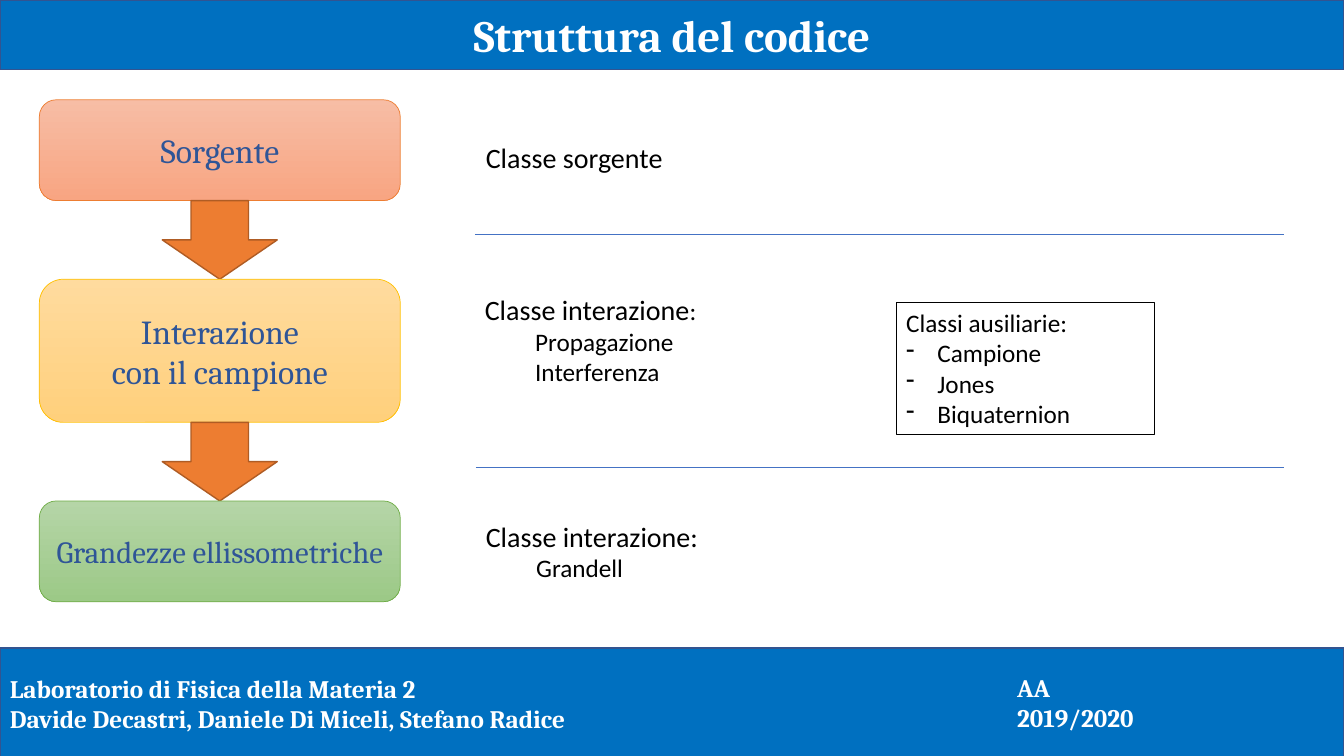
from lxml.etree import SubElement
from pptx import Presentation
from pptx.dml.color import RGBColor
from pptx.enum.shapes import MSO_CONNECTOR, MSO_SHAPE
from pptx.enum.text import MSO_ANCHOR, PP_ALIGN
from pptx.oxml.ns import qn
from pptx.util import Inches, Pt

WHITE = RGBColor(0xFF, 0xFF, 0xFF)
BLACK = RGBColor(0x00, 0x00, 0x00)
BANNER_BLUE = RGBColor(0x00, 0x70, 0xC0)
BANNER_EDGE = RGBColor(0x32, 0x54, 0x91)
STEP_TEXT = RGBColor(0x2F, 0x55, 0x97)
DIVIDER_BLUE = RGBColor(0x44, 0x72, 0xC4)
ARROW_ORANGE = RGBColor(0xED, 0x7D, 0x31)
ARROW_EDGE = RGBColor(0xAF, 0x5C, 0x24)
SALMON_TOP = RGBColor(0xF7, 0xBD, 0xA5)
SALMON_BOTTOM = RGBColor(0xF8, 0xA5, 0x82)
YELLOW_TOP = RGBColor(0xFF, 0xDB, 0x9E)
YELLOW_BOTTOM = RGBColor(0xFF, 0xD0, 0x7C)
YELLOW_EDGE = RGBColor(0xFF, 0xC0, 0x00)
GREEN_TOP = RGBColor(0xB5, 0xD5, 0xA7)
GREEN_BOTTOM = RGBColor(0x9C, 0xC9, 0x87)
GREEN_EDGE = RGBColor(0x70, 0xAD, 0x47)


def write(paragraph, text, size=18, font="Calibri", color=BLACK, bold=False,
          align=PP_ALIGN.LEFT, indent=0, bullet=None):
    paragraph.alignment = align
    properties = paragraph._p.get_or_add_pPr()
    if indent:
        properties.set("marL", str(Inches(indent)))
    if bullet:
        properties.set("indent", str(-Inches(indent)))
        SubElement(properties, qn("a:buChar")).set("char", bullet)
    run = paragraph.add_run()
    run.text = text
    run.font.size = Pt(size)
    run.font.name = font
    run.font.color.rgb = color
    run.font.bold = bold


class SlideBuilder:
    heading_font = "Cambria"

    def __init__(self, slide):
        self.slide = slide

    def shape(self, kind, left, top, width, height, fill, edge, weight=1):
        shape = self.slide.shapes.add_shape(
            kind, Inches(left), Inches(top), Inches(width), Inches(height))
        shape.shadow.inherit = False
        if isinstance(fill, RGBColor):
            shape.fill.solid()
            shape.fill.fore_color.rgb = fill
        else:
            shape.fill.gradient()
            shape.fill.gradient_angle = 270
            for position, (stop, color) in enumerate(zip(shape.fill.gradient_stops, fill)):
                stop.color.rgb = color
                stop.position = position
        shape.line.color.rgb = edge
        shape.line.width = Pt(weight)
        shape.text_frame.word_wrap = True
        shape.text_frame.vertical_anchor = MSO_ANCHOR.MIDDLE
        return shape

    def lines(self, shape, lines, **style):
        frame = shape.text_frame
        for number, line in enumerate(lines):
            paragraph = frame.add_paragraph() if number else frame.paragraphs[0]
            write(paragraph, line, **style)

    def banner(self, top, height, lines, **style):
        shape = self.shape(MSO_SHAPE.RECTANGLE, 0, top, 13.33, height,
                           BANNER_BLUE, BANNER_EDGE)
        self.lines(shape, lines, font=self.heading_font, color=WHITE, bold=True, **style)

    def step(self, top, height, lines, size, gradient, edge):
        shape = self.shape(MSO_SHAPE.ROUNDED_RECTANGLE, 0.39, top, 3.58, height,
                           gradient, edge, 0.5)
        self.lines(shape, lines, size=size, font=self.heading_font,
                   color=STEP_TEXT, align=PP_ALIGN.CENTER)

    def arrow(self, top):
        self.shape(MSO_SHAPE.DOWN_ARROW, 1.61, top, 1.14, 0.78, ARROW_ORANGE, ARROW_EDGE)

    def divider(self, left, top):
        line = self.slide.shapes.add_connector(
            MSO_CONNECTOR.STRAIGHT, Inches(left), Inches(top), Inches(left + 8.02), Inches(top))
        line.line.color.rgb = DIVIDER_BLUE
        line.line.width = Pt(0.5)
        SubElement(line._element.spPr, qn("a:effectLst"))

    def text_box(self, left, top, width, height):
        box = self.slide.shapes.add_textbox(
            Inches(left), Inches(top), Inches(width), Inches(height))
        box.text_frame.word_wrap = True
        return box

    def class_note(self, left, top, height, title, members=(), colon_size=20):
        frame = self.text_box(left, top, 2.4, height).text_frame
        write(frame.paragraphs[0], title, size=20)
        if members:
            write(frame.paragraphs[0], ":", size=colon_size)
        for member in members:
            write(frame.add_paragraph(), member, indent=0.5)

    def bullet_panel(self, left, top, width, height, title, items):
        panel = self.shape(MSO_SHAPE.RECTANGLE, left, top, width, height, WHITE, BLACK)
        frame = panel.text_frame
        frame.vertical_anchor = MSO_ANCHOR.TOP
        write(frame.paragraphs[0], title)
        for item in items:
            write(frame.add_paragraph(), item, indent=0.31, bullet="-")


def main():
    presentation = Presentation()
    presentation.slide_width = Inches(13.33)
    presentation.slide_height = Inches(7.5)
    builder = SlideBuilder(presentation.slides.add_slide(presentation.slide_layouts[6]))

    builder.banner(6.43, 1.09, ["Laboratorio di Fisica della Materia 2",
                                "Davide Decastri, Daniele Di Miceli, Stefano Radice"])
    year = builder.text_box(9.99, 6.62, 1.7, 0.71)
    builder.lines(year, ["AA 2019/2020"], font=builder.heading_font, color=WHITE, bold=True)
    builder.banner(0, 0.69, ["Struttura del codice"], size=32, align=PP_ALIGN.CENTER)

    steps = [
        (1, ["Sorgente"], 24, [SALMON_TOP, SALMON_BOTTOM], ARROW_ORANGE),
        (1.42, ["Interazione", "con il campione"], 24, [YELLOW_TOP, YELLOW_BOTTOM], YELLOW_EDGE),
        (1, ["Grandezze ellissometriche"], 22, [GREEN_TOP, GREEN_BOTTOM], GREEN_EDGE),
    ]
    top = 0.99
    for number, (height, lines, size, gradient, edge) in enumerate(steps):
        if number:
            builder.arrow(top)
            top += 0.78
        builder.step(top, height, lines, size, gradient, edge)
        top += height

    builder.divider(4.71, 2.33)
    builder.divider(4.72, 4.64)
    builder.class_note(4.72, 1.34, 0.44, "Classe sorgente")
    builder.class_note(4.71, 2.85, 1.35, "Classe interazione",
                       ["Propagazione", "Interferenza"], colon_size=18)
    builder.class_note(4.72, 5.1, 1.35, "Classe interazione", ["Grandell"])
    builder.bullet_panel(8.89, 3, 2.56, 1.31, "Classi ausiliarie:",
                         ["Campione", "Jones", "Biquaternion"])

    presentation.save("out.pptx")


if __name__ == "__main__":
    main()
